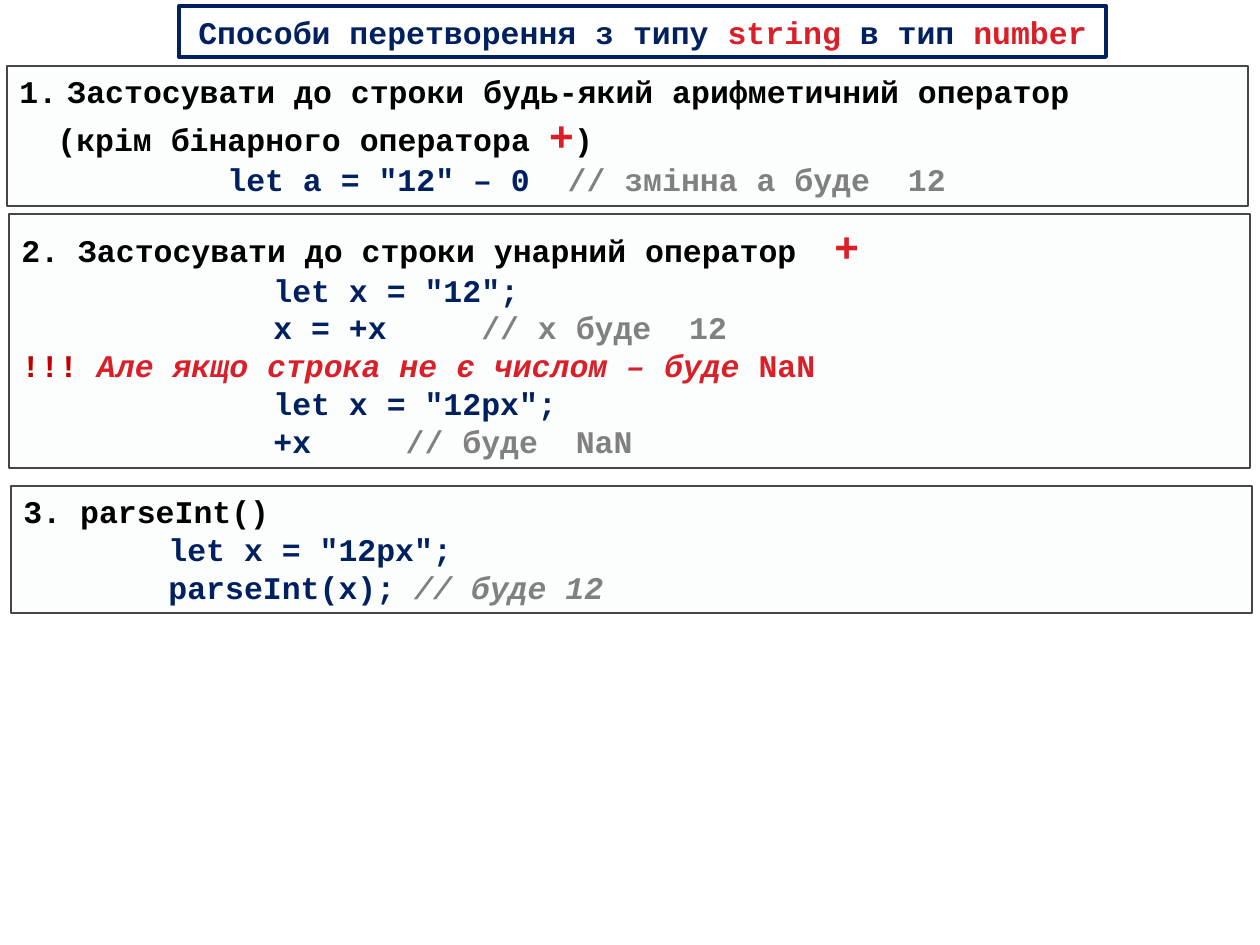
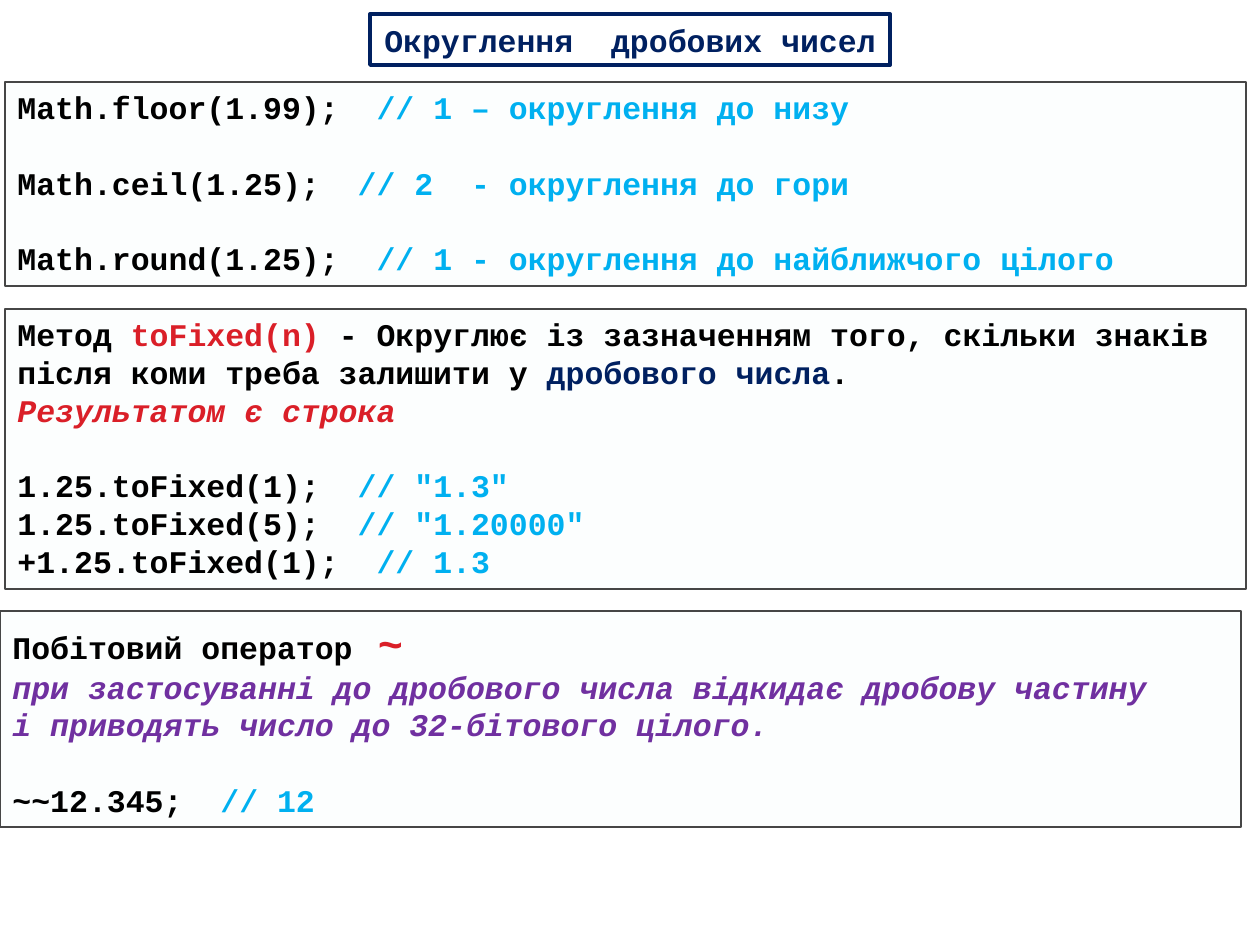
"""Build two slides on string conversion and rounding in JavaScript."""
from lxml import etree
from pptx import Presentation
from pptx.dml.color import RGBColor
from pptx.enum.shapes import MSO_SHAPE
from pptx.enum.text import MSO_ANCHOR, MSO_AUTO_SIZE, PP_ALIGN
from pptx.oxml.ns import qn
from pptx.util import Emu, Pt

RECT = MSO_SHAPE.RECTANGLE
TOP, MID = MSO_ANCHOR.TOP, MSO_ANCHOR.MIDDLE
LEFT, CENTER = PP_ALIGN.LEFT, PP_ALIGN.CENTER
FIXED = MSO_AUTO_SIZE.NONE

NAVY = RGBColor(0x00, 0x20, 0x60)
RED = RGBColor(0xDA, 0x1F, 0x28)
DARK = RGBColor(0xC0, 0x00, 0x00)
GREY = RGBColor(0x80, 0x80, 0x80)
SKY = RGBColor(0x00, 0xB0, 0xF0)
PLUM = RGBColor(0x70, 0x30, 0xA0)
BLACK = RGBColor(0x00, 0x00, 0x00)
WHITE = RGBColor(0xFF, 0xFF, 0xFF)
EDGE = RGBColor(0x46, 0x46, 0x46)
TINT = RGBColor(0xDE, 0xF5, 0xFA)

FONT = "Courier New"
SIZE, LARGE = 18, 24
LEAD = 1.2
SCALE = 914400 / 126
BOX_W = 1241
WIDE = 4320

STYLES = {
    "text": (BLACK, SIZE, False),
    "code": (NAVY, SIZE, False),
    "wide": (NAVY, SIZE, False),
    "red": (RED, SIZE, False),
    "sign": (RED, LARGE, False),
    "warn": (RED, SIZE, True),
    "alarm": (DARK, SIZE, False),
    "note": (GREY, SIZE, False),
    "slant": (GREY, SIZE, True),
    "sky": (SKY, SIZE, False),
    "plum": (PLUM, SIZE, True),
}


def line(*runs, **opts):
    """Pair styled runs with paragraph options."""
    return runs, opts


def call(code, note, **opts):
    """Give a line of code with its result."""
    return line((code + "  ", "text"), (note, "sky"), **opts)


SLIDES = [
    {
        "title": [("Способи перетворення з типу ", "code"), ("string", "red"),
                  (" в тип ", "code"), ("number", "red")],
        "frame": (179, 6, 927, 51),
        "boxes": [
            (7, 66, 140, [
                line(("Застосувати до строки будь-який арифметичний оператор", "text"), num=48),
                line(("(крім бінарного оператора ", "text"), ("+", "sign"), (")", "text"), left=38),
                line(("let a = \"12\" – 0  ", "code"), ("// змінна a буде  12", "note"),
                     left=208),
            ]),
            (9, 214, 254, [
                line(("2. Застосувати до строки унарний оператор  ", "text"), ("+", "sign")),
                line(("let x = \"12\";", "code"), left=252),
                line(("x = +x", "code"), (" ", "wide"), ("// x буде  12", "note"), left=252),
                line(("!!! ", "alarm"), ("Але якщо строка не є числом – буде ", "warn"),
                     ("NaN", "red")),
                line(("let x = \"12px\";", "code"), left=252),
                line(("+x", "code"), (" ", "wide"), ("// буде  NaN", "note"), left=252),
            ]),
            (11, 486, 127, [
                line(("3. parseInt()", "text")),
                line(("let x = \"12px\";", "code"), left=145),
                line(("parseInt(x); ", "code"), ("// буде 12", "slant"), left=145),
            ]),
        ],
    },
    {
        "title": [("Округлення  дробових чисел", "code")],
        "frame": (370, 14, 520, 51),
        "boxes": [
            (5, 82, 204, [
                call("Math.floor(1.99);", "// 1 – округлення до низу"),
                call("Math.ceil(1.25);", "// 2  - округлення до гори", gap=True),
                call("Math.round(1.25);", "// 1 - округлення до найближчого цілого", gap=True),
            ]),
            (5, 309, 280, [
                line(("Метод ", "text"), ("toFixed(n) ", "red"),
                     ("- Округлює із зазначенням того, скільки знаків", "text")),
                line(("після коми треба залишити у ", "text"), ("дробового числа", "code"),
                     (".", "text")),
                line(("Результатом є строка", "warn")),
                call("1.25.toFixed(1);", "// \"1.3\"", gap=True),
                call("1.25.toFixed(5);", "// \"1.20000\""),
                call("+1.25.toFixed(1);", "// 1.3"),
            ]),
            (0, 611, 216, [
                line(("Побітовий оператор", "text"), (" ~", "sign")),
                line(("при застосуванні до дробового числа відкидає дробову частину", "plum")),
                line(("і приводять число до 32-бітового цілого.", "plum")),
                call("~~12.345;", "// 12", gap=True),
            ]),
        ],
    },
]


def px(num):
    return Emu(round(num * SCALE))


def add_runs(para, runs):
    for text, style in runs:
        run = para.add_run()
        run.text = text
        font = run.font
        font.name, font.bold = FONT, True
        font.color.rgb, size, font.italic = STYLES[style]
        font.size = Pt(size)
        if style == "wide":
            run._r.get_or_add_rPr().set("spc", str(WIDE))


def set_frame(shape, anchor):
    frame = shape.text_frame
    frame.word_wrap = True
    frame.auto_size = FIXED
    frame.vertical_anchor = anchor
    frame.margin_left = frame.margin_right = Emu(91440)
    frame.margin_top = frame.margin_bottom = Emu(45720)
    return frame


def paint(shape, fill, edge, width):
    shape.fill.solid()
    shape.fill.fore_color.rgb = fill
    shape.line.color.rgb = edge
    shape.line.width = Pt(width)


def set_para(para, runs, num=0, left=0, gap=False):
    para.alignment = LEFT
    tall = max(STYLES[style][1] for _, style in runs)
    para.line_spacing = Pt(tall * LEAD)
    if gap:
        para.space_before = Pt(SIZE * LEAD)
    props = para._p.get_or_add_pPr()
    props.set("marL", str(px(num or left)))
    props.set("indent", str(px(-num)))
    if num:
        etree.SubElement(props, qn("a:buFont"), typeface=FONT)
        etree.SubElement(props, qn("a:buAutoNum"), type="arabicPeriod")
    add_runs(para, runs)


def add_title(slide, runs, place):
    title = slide.shapes.title
    title.left, title.top, title.width, title.height = map(px, place)
    paint(title, WHITE, NAVY, 2.25)
    para = set_frame(title, MID).paragraphs[0]
    para.alignment = CENTER
    add_runs(para, runs)


def add_box(slide, left, top, height, lines):
    box = slide.shapes.add_shape(RECT, *map(px, (left, top, BOX_W, height)))
    box.shadow.inherit = False
    paint(box, TINT, EDGE, 0.75)
    tone = box._element.spPr.find(qn("a:solidFill"))[0]
    etree.SubElement(tone, qn("a:alpha"), val="8000")
    frame = set_frame(box, TOP)
    for i, (runs, opts) in enumerate(lines):
        para = frame.add_paragraph() if i else frame.paragraphs[0]
        set_para(para, runs, **opts)


def main():
    deck = Presentation()
    deck.slide_width, deck.slide_height = px(1260), px(945)
    for page in SLIDES:
        slide = deck.slides.add_slide(deck.slide_layouts[5])
        add_title(slide, page["title"], page["frame"])
        for box in page["boxes"]:
            add_box(slide, *box)
    deck.save("out.pptx")


if __name__ == "__main__":
    main()
